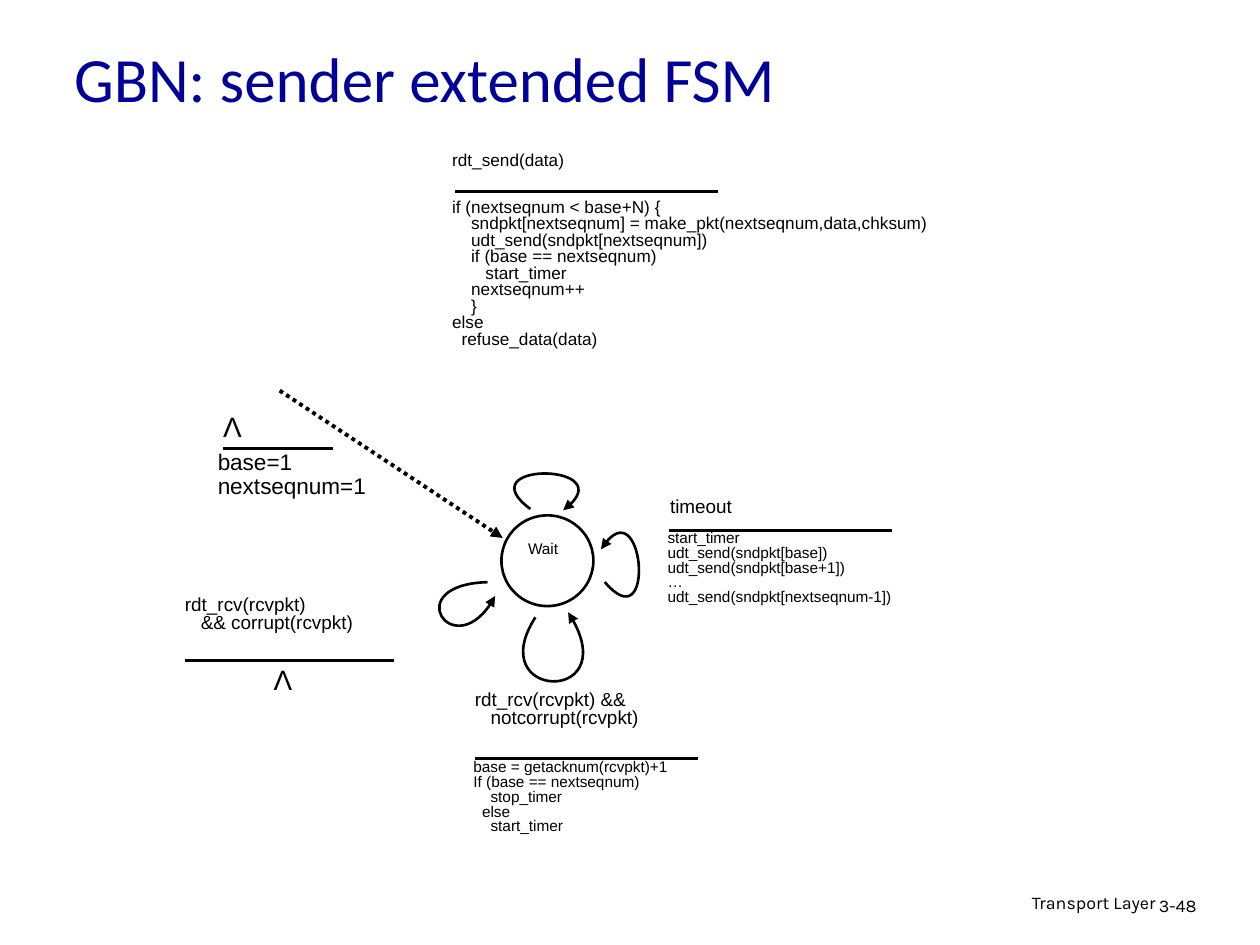
from lxml import etree
from pptx import Presentation
from pptx.dml.color import RGBColor
from pptx.enum.dml import MSO_LINE
from pptx.enum.shapes import MSO_CONNECTOR, MSO_SHAPE
from pptx.enum.text import MSO_ANCHOR, PP_ALIGN
from pptx.oxml.ns import qn
from pptx.util import Inches, Pt

LEFT, CENTER, RIGHT = PP_ALIGN.LEFT, PP_ALIGN.CENTER, PP_ALIGN.RIGHT
MIDDLE = MSO_ANCHOR.MIDDLE
STRAIGHT = MSO_CONNECTOR.STRAIGHT
OVAL = MSO_SHAPE.OVAL
DOTTED = MSO_LINE.ROUND_DOT

COLORS = {"ink": "000000", "title": "000099", "state": "FFFFFF"}
SPACE_WIDTH = 0.278  # width of one Arial space, in ems

deck = Presentation()
deck.slide_width, deck.slide_height = Inches(10), Inches(7.5)
page = deck.slides.add_slide(deck.slide_layouts[6])


def add_text(place, lines, size, font="Arial", color="ink", align=LEFT, spacing=0.8):
    """Add a text box; a line is a string or an (indent in spaces, string) pair."""
    box = page.shapes.add_textbox(*[Inches(value) for value in place])
    frame = box.text_frame
    frame.word_wrap = True
    for index, line in enumerate(lines):
        indent, text = (0, line) if isinstance(line, str) else line
        para = frame.paragraphs[0] if index == 0 else frame.add_paragraph()
        para.text = text
        para.alignment = align
        para.line_spacing = spacing
        para.font.name = font
        para.font.size = Pt(size)
        para.font.color.rgb = RGBColor.from_string(COLORS[color])
        if indent:
            margin = Pt(indent * SPACE_WIDTH * size)
            para._p.get_or_add_pPr().set("marL", str(int(margin)))
    return frame


def style_line(shape, width, arrow=False, dash=None):
    shape.line.color.rgb = RGBColor.from_string(COLORS["ink"])
    shape.line.width = Pt(width)
    if dash:
        shape.line.dash_style = dash
    properties = shape._element.spPr
    if arrow:
        etree.SubElement(properties.find(qn("a:ln")), qn("a:tailEnd"), type="triangle")
    if properties.find(qn("a:effectLst")) is None:
        etree.SubElement(properties, qn("a:effectLst"))


# Title and footer
title = add_text((0.49, 0.23, 8.5, 0.77), ["GBN: sender extended FSM"], 36,
                 "Calibri", "title", spacing=1.0)
title.vertical_anchor = MIDDLE
add_text((6.1, 7.05, 3.17, 0.31), ["Transport Layer"], 10.2, "Karla", align=RIGHT, spacing=0.9)
add_text((9.1, 7.07, 0.74, 0.3), ["3-48"], 10.2, "Karla", spacing=0.9)

# The single state
state = page.shapes.add_shape(OVAL, Inches(3.98), Inches(4.09), Inches(0.73), Inches(0.72))
state.fill.solid()
state.fill.fore_color.rgb = RGBColor.from_string(COLORS["state"])
style_line(state, 1.5)
add_text((3.87, 4.26, 0.88, 0.26), ["Wait"], 8.8, align=CENTER)

# Initial transition, then the rules between each event and its actions
for x1, y1, x2, y2, width, arrow, dash in [
    (2.22, 3.1, 3.99, 4.27, 2.25, True, DOTTED),
    (1.77, 3.56, 2.64, 3.56, 1.5, False, None),
    (3.61, 1.52, 5.7, 1.52, 2.25, False, None),
    (5.31, 4.21, 7.08, 4.21, 1.5, False, None),
    (3.77, 6.02, 5.54, 6.02, 2.25, False, None),
    (1.47, 5.24, 3.13, 5.24, 1.5, False, None),
]:
    line = page.shapes.add_connector(STRAIGHT, Inches(x1), Inches(y1), Inches(x2), Inches(y2))
    style_line(line, width, arrow, dash)

# Self transitions: start, two control points and end of a Bezier curve
for loop in [
    [(4.21, 4.04), (3.71, 3.67), (4.98, 3.67), (4.47, 4.05)],
    [(4.8, 4.62), (5.2, 5.09), (5.11, 3.83), (4.77, 4.36)],
    [(4.25, 4.9), (3.83, 5.55), (4.99, 5.6), (4.51, 4.86)],
    [(3.87, 4.62), (3.17, 4.64), (3.62, 5.31), (3.93, 4.73)],
]:
    start, *others = [(Inches(x), Inches(y)) for x, y in loop]
    builder = page.shapes.build_freeform(*start)
    builder.add_line_segments(others, close=False)
    curve = builder.convert_to_shape()
    curve.fill.background()
    style_line(curve, 1.5, arrow=True)
    outline = next(curve._element.iter(qn("a:path")))
    bezier = etree.SubElement(outline, qn("a:cubicBezTo"))
    for segment in outline.findall(qn("a:lnTo")):
        bezier.append(segment.find(qn("a:pt")))
        outline.remove(segment)

# Events and actions
add_text((3.49, 1.17, 2.55, 0.28), ["rdt_send(data)"], 9.8)
add_text((3.49, 1.54, 6.04, 1.6), [
    "if (nextseqnum < base+N) {",
    (4, "sndpkt[nextseqnum] = make_pkt(nextseqnum,data,chksum)"),
    (4, "udt_send(sndpkt[nextseqnum])"),
    (4, "if (base == nextseqnum)"),
    (7, "start_timer"),
    (4, "nextseqnum++"),
    (4, "}"),
    "else",
    (2, "refuse_data(data)"),
], 9.8)

add_text((5.22, 3.91, 1.2, 0.3), ["timeout"], 10.8)
add_text((5.2, 4.17, 3.04, 0.91), [
    "start_timer",
    "udt_send(sndpkt[base])",
    "udt_send(sndpkt[base+1])",
    "…",
    "udt_send(sndpkt[nextseqnum-1])",
], 8.8)

add_text((3.67, 5.44, 3.1, 0.49), ["rdt_rcv(rcvpkt) &&", (3, "notcorrupt(rcvpkt)")], 10.8)
add_text((3.66, 5.99, 4.03, 0.91), [
    "base = getacknum(rcvpkt)+1",
    "If (base == nextseqnum)",
    (4, "stop_timer"),
    (2, "else"),
    (4, "start_timer"),
], 8.8)

add_text((1.37, 4.69, 2.24, 0.49), ["rdt_rcv(rcvpkt)", (3, "&& corrupt(rcvpkt)")], 10.8)
add_text((1.63, 3.53, 1.62, 0.55), ["base=1", "nextseqnum=1"], 12.9, spacing=0.9)
for left, top in [(1.67, 3.2), (2.07, 5.21)]:
    empty_mark = add_text((left, top, 0.35, 0.37), ["Λ"], 16, align=CENTER, spacing=1.0)
    empty_mark.word_wrap = False

deck.save("out.pptx")
